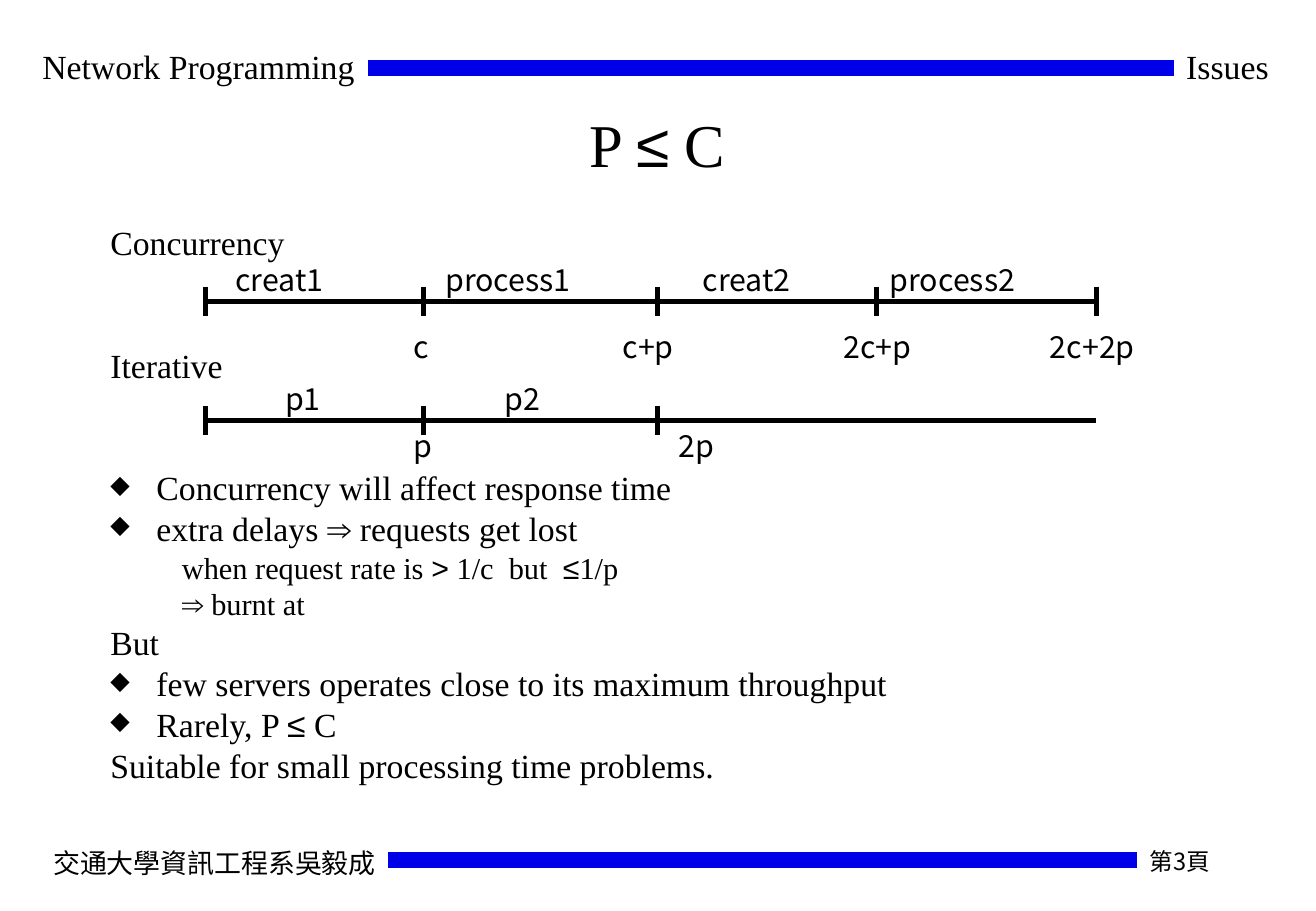
from itertools import groupby

from pptx import Presentation
from pptx.dml.color import RGBColor
from pptx.enum.shapes import MSO_CONNECTOR
from pptx.enum.text import MSO_ANCHOR, PP_ALIGN
from pptx.oxml.ns import qn
from pptx.util import Inches, Pt
from lxml.etree import SubElement

BLACK = RGBColor(0, 0, 0)
BLUE = RGBColor(0x00, 0x00, 0xE8)
SERIF, SYMBOL = "Times New Roman", "Arial"
LABEL, PAGE = "Noto Sans CJK TC", "Noto Sans CJK SC"
SYMBOLS = "≤⇒>"


def add_line(slide, x1, y1, x2, y2, color, width):
    line = slide.shapes.add_connector(
        MSO_CONNECTOR.STRAIGHT, Inches(x1), Inches(y1), Inches(x2), Inches(y2))
    line.line.color.rgb = color
    line.line.width = Pt(width)
    SubElement(line._element.spPr, qn("a:effectLst"))


def add_frame(slide, left, top, width, height, wrap=False):
    box = slide.shapes.add_textbox(
        Inches(left), Inches(top), Inches(width), Inches(height))
    box.text_frame.word_wrap = wrap
    return box.text_frame


def write(paragraph, text, size, font=SERIF):
    """Fill a paragraph, giving the mathematical signs their own font."""
    paragraph.font.size = Pt(size)
    paragraph.font.color.rgb = BLACK
    for is_symbol, chars in groupby(text, lambda char: char in SYMBOLS):
        run = paragraph.add_run()
        run.text = "".join(chars)
        run.font.name = SYMBOL if is_symbol else font


def add_label(slide, text, left, top, width, height=0.4, size=18, font=LABEL,
              align=PP_ALIGN.LEFT):
    paragraph = add_frame(slide, left, top, width, height).paragraphs[0]
    paragraph.alignment = align
    write(paragraph, text, size, font)


def add_header(slide, left, top, width):
    add_line(slide, left + 2.78, top + 0.23, left + width - 0.88, top + 0.23, BLUE, 10)
    add_label(slide, "Network Programming", left, top, 2.78, 0.43, 20, SERIF)
    add_label(slide, "Issues", left + width - 0.88, top, 0.88, 0.43, 20, SERIF,
              PP_ALIGN.RIGHT)


def add_footer(slide, left, top, width):
    add_line(slide, left + 2.86, top + 0.16, left + width - 1.58, top + 0.16, BLUE, 10)
    add_label(slide, "交通大學資訊工程系吳毅成", left, top, 2.86, 0.37, 16, SERIF)
    add_label(slide, "第3頁", left + width - 1.58, top, 1.58, 0.38, 14, PAGE)


def add_title(slide, left, top, width, height):
    frame = add_frame(slide, left, top, width, height, wrap=True)
    frame.vertical_anchor = MSO_ANCHOR.MIDDLE
    frame.paragraphs[0].alignment = PP_ALIGN.CENTER
    write(frame.paragraphs[0], "P ≤ C", 36)


def add_body(slide, left, top, width, height):
    # Text, kind, space before; the large gaps leave room for the timelines
    lines = [
        ("Concurrency", "plain", 0),
        ("Iterative", "plain", 53.5),
        ("Concurrency will affect response time", "bullet", 53.5),
        ("extra delays ⇒ requests get lost", "bullet", 5),
        ("when request rate is > 1/c  but  ≤1/p", "detail", 4.5),
        ("⇒ burnt at", "detail", 4.5),
        ("But", "plain", 5),
        ("few servers operates close to its maximum throughput", "bullet", 5),
        ("Rarely, P ≤ C", "bullet", 5),
        ("Suitable for small processing time problems.", "plain", 5),
    ]
    frame = add_frame(slide, left, top, width, height, wrap=True)
    for index, (text, kind, gap) in enumerate(lines):
        paragraph = frame.add_paragraph() if index else frame.paragraphs[0]
        paragraph.line_spacing = 0.8
        paragraph.space_before = Pt(gap)
        detail = kind == "detail"
        paragraph.level = int(detail)
        margin, indent = (0.9, -0.31) if detail else (0.38, -0.38)
        properties = paragraph._p.get_or_add_pPr()
        properties.set("marL", str(Inches(margin)))
        properties.set("indent", str(Inches(indent)))
        if kind == "bullet":
            color = SubElement(properties, qn("a:buClr"))
            SubElement(color, qn("a:srgbClr"), val=str(BLACK))
            SubElement(properties, qn("a:buSzPct"), val="75000")
            SubElement(properties, qn("a:buChar"), char="◆")
        else:
            SubElement(properties, qn("a:buNone"))
        write(paragraph, text, 18 if detail else 20)


def add_timeline(slide, left, axis, width, ticks, phases, phase_rise, times, time_drop):
    """Draw an axis; phases sit above it and times below, as (text, offset, width)."""
    add_line(slide, left, axis, left + width, axis, BLACK, 3)
    for tick in ticks:
        add_line(slide, left + tick, axis - 0.12, left + tick, axis + 0.12, BLACK, 3)
    for labels, top in ((phases, axis - phase_rise), (times, axis + time_drop)):
        for text, offset, label_width in labels:
            add_label(slide, text, left + offset, top, label_width)


def main():
    deck = Presentation()
    deck.slide_width, deck.slide_height = Inches(10.84), Inches(7.5)
    slide = deck.slides.add_slide(deck.slide_layouts[6])

    add_header(slide, 0.25, 0.33, 10.3)
    add_footer(slide, 0.34, 6.92, 10.61)
    add_title(slide, 0.36, 0.67, 10.11, 1.02)
    add_body(slide, 0.81, 1.84, 9.21, 4.85)

    # Concurrency timeline
    add_timeline(
        slide, 1.69, 2.48, 7.34, (0, 1.8, 3.73, 5.53, 7.34),
        (("creat1", 0.15, 1.1), ("process1", 1.88, 1.4),
         ("creat2", 4, 1.1), ("process2", 5.54, 1.4)), 0.38,
        (("c", 1.62, 0.35), ("c+p", 3.34, 0.65),
         ("2c+p", 5.16, 0.8), ("2c+2p", 6.86, 0.95)), 0.17)
    # Iterative timeline
    add_timeline(
        slide, 1.69, 3.46, 7.34, (0, 1.8, 3.73),
        (("p1", 0.56, 0.5), ("p2", 2.37, 0.5)), 0.38,
        (("p", 1.62, 0.35), ("2p", 3.8, 0.5)), 0.01)

    deck.save("out.pptx")


if __name__ == "__main__":
    main()
